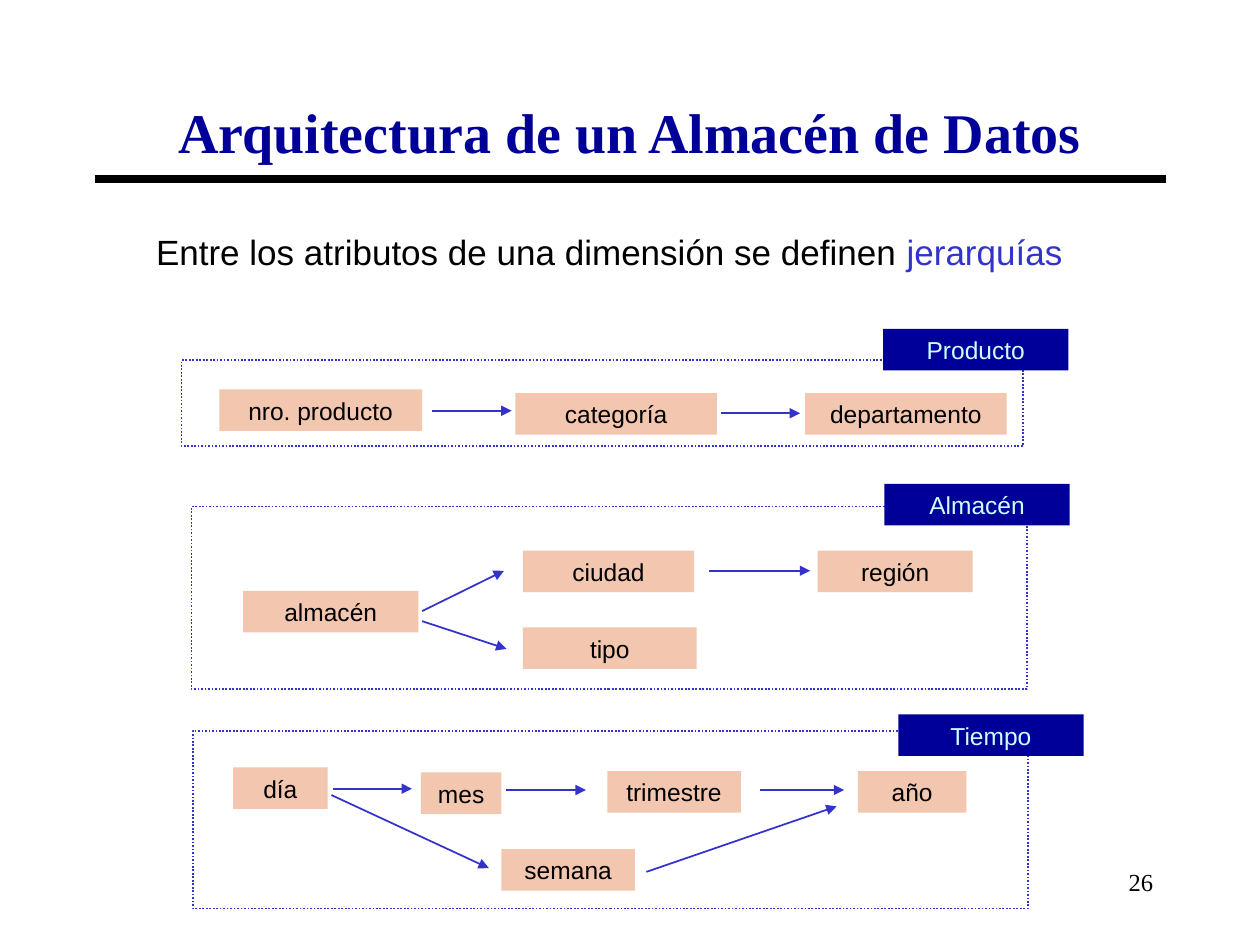
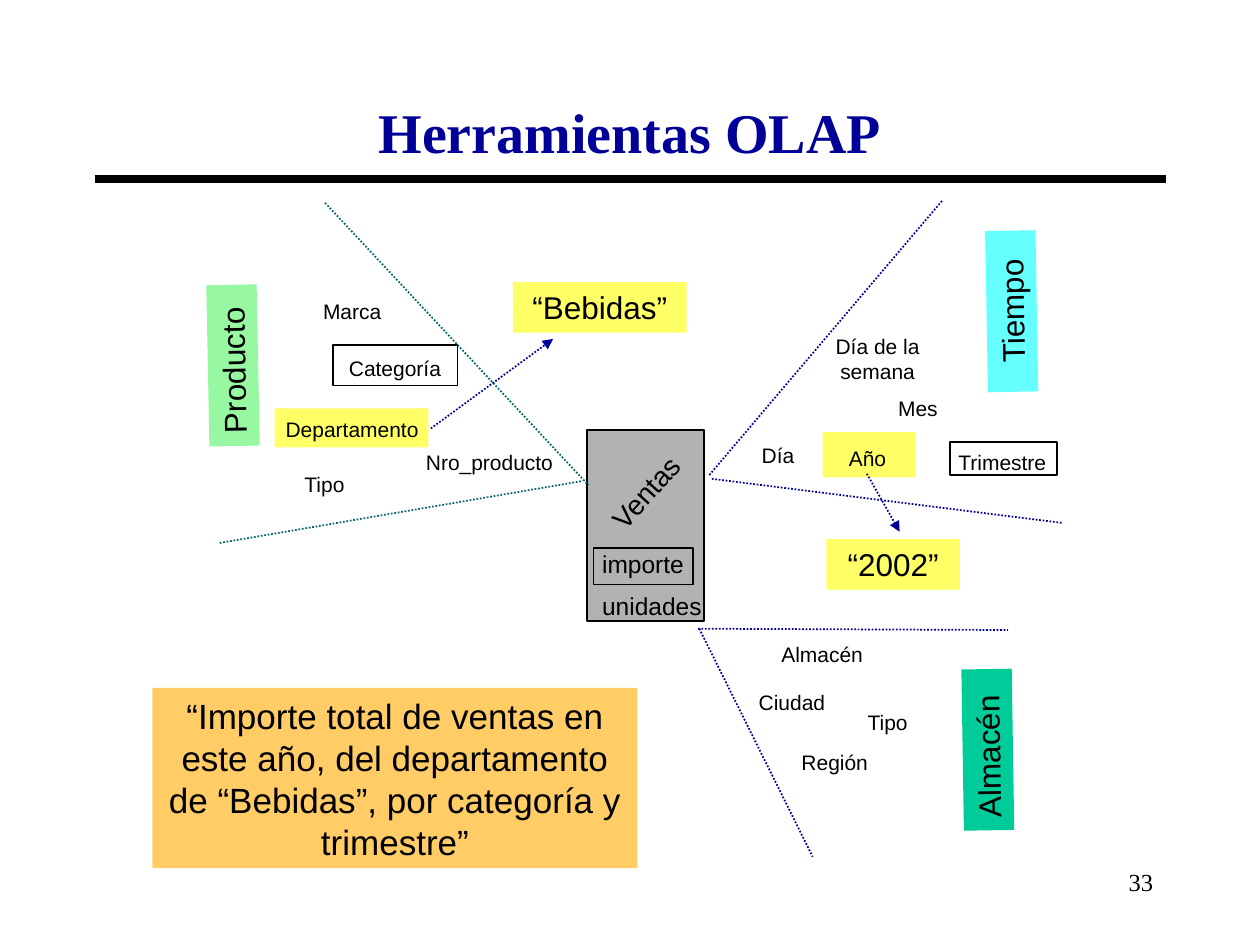
from pptx import Presentation
from pptx.dml.color import RGBColor
from pptx.enum import dml, shapes, text
from pptx.oxml import ns, xmlchemy as xc
from pptx.util import Inches, Pt

BLACK = RGBColor(0x00, 0x00, 0x00)
NAVY = RGBColor(0x00, 0x00, 0x99)
BLUE = RGBColor(0x33, 0x33, 0xCC)
TEAL = RGBColor(0x00, 0x66, 0x66)
PEACH = RGBColor(0xF3, 0xC6, 0xAF)
ICE = RGBColor(0xCC, 0xFF, 0xFF)
YELLOW = RGBColor(0xFF, 0xFF, 0x66)
ORANGE = RGBColor(0xFF, 0xCC, 0x66)
GREY = RGBColor(0xB2, 0xB2, 0xB2)
MINT = RGBColor(0x98, 0xF8, 0xA1)
CYAN = RGBColor(0x66, 0xFF, 0xFF)
GREEN = RGBColor(0x00, 0xCC, 0x99)

SANS, SERIF = "Arial", "Times New Roman"
LEFT, MID, RIGHT = (text.PP_ALIGN.LEFT, text.PP_ALIGN.CENTER,
                    text.PP_ALIGN.RIGHT)
DOTS = dml.MSO_LINE.ROUND_DOT  # sysDot
NODE_H, TAG_W, LABEL_W = 0.33, 1.47, 1.39


def write(frame, paras, size, align=MID, face=SERIF, bold=False):
    """Fill a frame; each paragraph is a list of (words, colour) runs."""
    frame.word_wrap = True
    frame.vertical_anchor = text.MSO_ANCHOR.TOP
    for i, runs in enumerate(paras):
        para = frame.paragraphs[0] if i == 0 else frame.add_paragraph()
        para.alignment = align
        if i:
            para.space_before = Pt(size / 2)
        for words, color in runs:
            run = para.add_run()
            run.text = words
            font = run.font
            font.name, font.size, font.bold = face, Pt(size), bold
            font.color.rgb = color


class Region:
    """Draws on a slide, measuring from the region's own corner."""

    def __init__(self, slide, left=0, top=0):
        self.shapes, self.left, self.top = slide.shapes, left, top

    def place(self, x, y):
        return Inches(self.left + x), Inches(self.top + y)

    def box(self, at, fill=None, line=None, dash=None, words=None,
            size=14, color=BLACK, align=MID, turn=0):
        x, y, w, h = at
        shape = self.shapes.add_shape(shapes.MSO_SHAPE.RECTANGLE,
                                      *self.place(x, y), Inches(w), Inches(h))
        shape.shadow.inherit = False
        shape.rotation = turn
        if fill is None:
            shape.fill.background()
        else:
            shape.fill.solid()
            shape.fill.fore_color.rgb = fill
        if line is None:
            shape.line.fill.background()
        else:
            shape.line.color.rgb = line
            shape.line.width = Pt(1)
            if dash:
                shape.line.dash_style = dash
        if words:
            write(shape.text_frame, [[(words, color)]], size, align, SANS)

    def note(self, at, paras, size, align=LEFT, face=SANS, turn=0):
        x, y, w, h = at
        area = self.shapes.add_textbox(*self.place(x, y), Inches(w), Inches(h))
        area.rotation = turn
        write(area.text_frame, paras, size, align, face)

    def line(self, ends, color, width=1, dash=None, arrow=False):
        x1, y1, x2, y2 = ends
        link = self.shapes.add_connector(shapes.MSO_CONNECTOR.STRAIGHT,
                                         *self.place(x1, y1),
                                         *self.place(x2, y2))
        link.line.color.rgb = color
        link.line.width = Pt(width)
        if dash:
            link.line.dash_style = dash
        if arrow:
            tip = xc.OxmlElement("a:tailEnd")
            tip.set("type", "triangle")
            link.line._get_or_add_ln().append(tip)
        props = link._element.find(ns.qn("p:spPr"))
        props.append(xc.OxmlElement("a:effectLst"))


def start(deck, title, number):
    """Add a slide with the shared title, rule and page number."""
    slide = deck.slides.add_slide(deck.slide_layouts[5])
    head = slide.shapes.title
    head.left, head.top = Inches(0.75), Inches(0.67)
    head.width, head.height = Inches(8.5), Inches(1.25)
    write(head.text_frame, [[(title, NAVY)]], 32, bold=True)
    head.text_frame.margin_top = Inches(0.1)
    page = Region(slide)
    page.line((0.75, 1.42, 9.25, 1.42), BLACK, 4.5)
    page.note((7.17, 6.83, 2.08, 0.5), [[(number, BLACK)]], 14, RIGHT, SERIF)
    return slide


def panel(slide, at, name, tag, nodes, links):
    """A dotted frame with one dimension's hierarchy and its name tag."""
    left, top, w, h = at
    area = Region(slide, left, top)
    area.box((0, 0, w, h), line=BLUE, dash=DOTS)
    for word, x, y, wide in nodes:
        area.box((x, y, wide, NODE_H), PEACH, words=word)
    for ends in links:
        area.line(ends, BLUE, arrow=True)
    area.box((*tag, TAG_W, NODE_H), NAVY, words=name, color=ICE)


def sector(slide, at, name, tag, rays, labels, color=NAVY,
           marks=(), frames=(), value=None, link=None):
    """A dimension between two rays, with attributes and a chosen value."""
    area = Region(slide, *at)
    for ends in rays:
        area.line(ends, color, dash=DOTS)
    x, y, fill, turn, align = tag
    area.box((x, y, 1.28, 0.4), fill, words=name, size=18,
             align=align, turn=turn)
    for mark in marks:
        area.box(mark, YELLOW)
    for frame in frames:
        area.box(frame, line=BLACK)
    if value:
        word, spot = value
        area.box(spot, YELLOW, words=word, size=18)
        area.line(link, NAVY, dash=DOTS, arrow=True)
    for word, x, y in labels:
        tall = 0.5 if " " in word else 0.3
        area.note((x, y, LABEL_W, tall), [[(word, BLACK)]], 12, MID)


def facts(slide, at):
    """The central fact table with its measures."""
    area = Region(slide, *at)
    area.box((0, 0, 0.93, 1.52), GREY, BLACK)
    area.note((-0.04, 0.16, 1.28, 0.37), [[("Ventas", BLACK)]], 16, turn=312.1)
    area.note((0.02, 0.9, 1.09, 0.68),
              [[("importe", BLACK)], [("unidades", BLACK)]], 14)
    area.box((0.05, 0.94, 0.79, 0.29), line=BLACK)


def levels(deck):
    """Slide about attribute hierarchies."""
    slide = start(deck, "Arquitectura de un Almacén de Datos", "26")
    Region(slide).note((1.14, 1.78, 8.1, 0.43), [[
        ("Entre los atributos de una dimensión se definen ", BLACK),
        ("jerarquías", BLUE)]], 20)
    panel(slide, (1.44, 2.86, 6.68, 0.68), "Producto", (5.57, -0.25),
          [("nro. producto", 0.3, 0.23, 1.61), ("categoría", 2.65, 0.26, 1.6),
           ("departamento", 4.95, 0.26, 1.6)],
          [(1.99, 0.4, 2.62, 0.4), (4.28, 0.42, 4.91, 0.42)])
    panel(slide, (1.52, 4.02, 6.63, 1.45), "Almacén", (5.5, -0.18),
          [("almacén", 0.41, 0.67, 1.39), ("ciudad", 2.63, 0.35, 1.36),
           ("región", 4.97, 0.35, 1.23), ("tipo", 2.63, 0.96, 1.38)],
          [(1.83, 0.83, 2.48, 0.51), (4.11, 0.51, 4.91, 0.51),
           (1.83, 0.91, 2.5, 1.13)])
    panel(slide, (1.53, 5.8, 6.63, 1.41), "Tiempo", (5.6, -0.13),
          [("día", 0.32, 0.29, 0.75), ("mes", 1.81, 0.33, 0.64),
           ("trimestre", 3.29, 0.32, 1.06), ("año", 5.28, 0.32, 0.86),
           ("semana", 2.45, 0.94, 1.06)],
          [(1.11, 0.46, 1.74, 0.46), (2.49, 0.47, 3.12, 0.47),
           (4.5, 0.47, 5.17, 0.47), (1.1, 0.51, 2.35, 1.09),
           (3.6, 1.12, 5.11, 0.6)])


def query(deck):
    """Slide about a query over the star of dimensions."""
    slide = start(deck, "Herramientas OLAP", "33")
    facts(slide, (4.66, 3.41))
    sector(slide, (1.74, 1.61), "Producto", (-0.53, 1.09, MINT, 268.9, LEFT),
           [(0.84, 0, 2.93, 2.24), (2.87, 2.21, 0, 2.7)],
           [("Marca", 0.36, 0.71), ("Categoría", 0.7, 1.16),
            ("Departamento", 0.36, 1.65), ("Nro_producto", 1.45, 1.91),
            ("Tipo", 0.14, 2.08)],
           TEAL, [(0.44, 1.63, 1.22, 0.31)], [(0.9, 1.13, 0.99, 0.32)],
           ("“Bebidas”", (2.33, 0.63, 1.38, 0.4)), (1.68, 1.79, 2.65, 1.08))
    sector(slide, (5.63, 1.59), "Tiempo", (1.76, 0.68, CYAN, 269, MID),
           [(0, 2.18, 1.85, 0), (0.02, 2.21, 2.8, 2.56)],
           [("Día de la semana", 0.64, 1.01), ("Mes", 0.96, 1.5),
            ("Día", -0.15, 1.87), ("Año", 0.56, 1.9),
            ("Trimestre", 1.63, 1.93)],
           NAVY, [(0.9, 1.84, 0.74, 0.36)], [(1.91, 1.92, 0.85, 0.26)],
           ("“2002”", (0.93, 2.69, 1.06, 0.4)), (1.25, 2.17, 1.51, 2.63))
    sector(slide, (5.54, 4.99), "Almacén", (1.66, 0.76, GREEN, 269.1, LEFT),
           [(0.01, 0, 0.91, 1.81), (0, 0, 2.46, 0.01)],
           [("Almacén", 0.29, 0.05), ("Ciudad", 0.05, 0.43),
            ("Tipo", 0.81, 0.59), ("Región", 0.39, 0.91)])
    Region(slide).box((1.21, 5.46, 3.85, 1.43), ORANGE, size=20, words=(
        "“Importe total de ventas en este año, del departamento "
        "de “Bebidas”, por categoría y trimestre”"))


def main():
    deck = Presentation()
    deck.slide_width, deck.slide_height = Inches(10), Inches(7.5)
    levels(deck)
    query(deck)
    deck.save("out.pptx")


if __name__ == "__main__":
    main()
